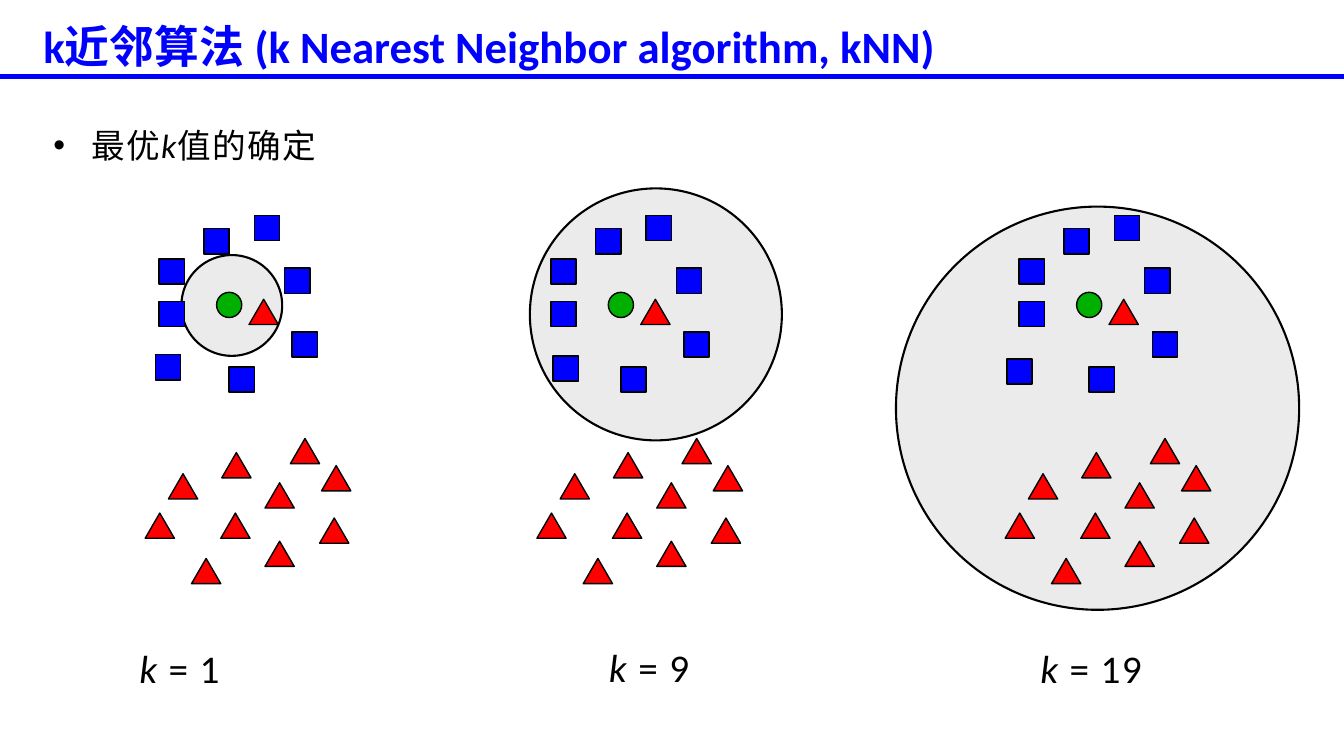
import pptx
import pptx.dml.color
import pptx.enum.shapes
import pptx.enum.text
import pptx.oxml
import pptx.oxml.ns
import pptx.util

Pt = pptx.util.Pt
Shape = pptx.enum.shapes.MSO_SHAPE
Anchor = pptx.enum.text.MSO_ANCHOR
Align = pptx.enum.text.PP_ALIGN
AutoSize = pptx.enum.text.MSO_AUTO_SIZE

SQUARES = [(10, 185), (78, 154), (10, 215.3), (60, 262), (42, 163.4),
           (105, 237), (99.7, 191.5)]
TRIANGLES = [(54.7, 323.3), (16.6, 338.4), (54, 366.5), (85.6, 344.9),
             (103.7, 313.2), (0, 366.5), (85.6, 386.6), (33.1, 398.9),
             (126, 332.6), (124.6, 370), (74.2, 213.8)]
QUERY_POINT = (51, 208.8)

PANELS = [
    {"k": 1, "left": 103.7, "circle": (129.6, 182.2, 72),
     "low_square": (7.2, 253.4), "label": (85, 456.5)},
    {"k": 9, "left": 383.5, "circle": (378.5, 134.6, 180),
     "low_square": (11.6, 254.2), "label": (420.5, 455.8)},
    {"k": 19, "left": 718, "circle": (640, 147.6, 288),
     "low_square": (1.3, 256.3), "label": (728.6, 456.5)},
]


def colour(code):
    return pptx.dml.color.RGBColor.from_string(code)


class SlideBuilder:
    font_name = "Calibri"
    black, blue, red, green, grey = "000000", "0000FF", "FF0000", "00B000", "D9D9D9"

    def __init__(self, page):
        self.page = page

    def fill_text(self, box, spans, size, ink=black, bold=False, spacing=0, inset=7.2):
        frame = box.text_frame
        settings = {"word_wrap": True, "auto_size": AutoSize.SHAPE_TO_FIT_TEXT,
                    "vertical_anchor": Anchor.TOP, "margin_left": Pt(inset),
                    "margin_right": Pt(7.2), "margin_top": Pt(3.6),
                    "margin_bottom": Pt(3.6)}
        for name, value in settings.items():
            setattr(frame, name, value)
        para = frame.paragraphs[0]
        para.alignment = Align.LEFT
        para.line_spacing = 1.0
        para.space_before = Pt(0)
        for text, italic in spans:
            span = para.add_run()
            span.text = text
            style = {"name": self.font_name, "size": Pt(size), "bold": bold,
                     "italic": italic}
            for name, value in style.items():
                setattr(span.font, name, value)
            span.font.color.rgb = colour(ink)
            if spacing:
                span.font._element.set("spc", str(spacing * 100))
        return para

    def title(self, text, left, top, width, height):
        box = self.page.shapes.title
        place = {"left": left, "top": top, "width": width, "height": height}
        for name, value in place.items():
            setattr(box, name, Pt(value))
        self.fill_text(box, [(text, False)], 32, ink=self.blue, bold=True)

    def text(self, spans, left, top, width, height, size, inset=7.2):
        box = self.page.shapes.add_textbox(Pt(left), Pt(top), Pt(width), Pt(height))
        return self.fill_text(box, spans, size, spacing=1, inset=inset)

    def bullet(self, para, indent):
        properties = para._p.get_or_add_pPr()
        properties.set("marL", str(Pt(indent)))
        properties.set("indent", str(-Pt(indent)))
        for tag, name, value in (("buFont", "typeface", "Arial"), ("buChar", "char", "•")):
            item = pptx.oxml.parse_xml(
                f'<a:{tag} {pptx.oxml.ns.nsdecls("a")} {name}="{value}"/>')
            properties.append(item)

    def rule(self, top, width, weight):
        line = self.page.shapes.add_connector(
            pptx.enum.shapes.MSO_CONNECTOR.STRAIGHT, 0, Pt(top), Pt(width), Pt(top))
        line.line.color.rgb = colour(self.blue)
        line.line.width = Pt(weight)
        line._element.spPr.append(pptx.oxml.parse_xml(
            f'<a:effectLst {pptx.oxml.ns.nsdecls("a")}/>'))

    def marker(self, group, kind, left, top, width, height, fill, weight=1, opacity=100):
        shape = group.shapes.add_shape(kind, Pt(left), Pt(top), Pt(width), Pt(height))
        shape.shadow.inherit = False
        shape.fill.solid()
        shape.fill.fore_color.rgb = colour(fill)
        shape.line.color.rgb = colour(self.black)
        shape.line.width = Pt(weight)
        if opacity < 100:
            tint = shape._element.spPr.find(".//" + pptx.oxml.ns.qn("a:srgbClr"))
            tint.append(pptx.oxml.parse_xml(
                f'<a:alpha {pptx.oxml.ns.nsdecls("a")} val="{opacity * 1000}"/>'))

    def panel(self, k, left, circle, low_square, label):
        group = self.page.shapes.add_group_shape()
        circle_left, circle_top, diameter = circle
        self.marker(group, Shape.OVAL, circle_left, circle_top, diameter, diameter,
                    self.grey, weight=1.5, opacity=50)
        families = [(Shape.RECTANGLE, SQUARES + [low_square], 18, self.blue),
                    (Shape.ISOSCELES_TRIANGLE, TRIANGLES, 20.9, self.red),
                    (Shape.OVAL, [QUERY_POINT], 18, self.green)]
        for kind, points, width, fill in families:
            for x, y in points:
                self.marker(group, kind, left + x, y, width, 18, fill)
        self.text([("k", True), (f" = {k}", False)], *label, 175, 41, 28, inset=14.5)


def main():
    deck = pptx.Presentation()
    deck.slide_width, deck.slide_height = Pt(960), Pt(540)
    page = deck.slides.add_slide(deck.slide_layouts.get_by_name("Title Only"))
    builder = SlideBuilder(page)
    builder.title("k近邻算法 (k Nearest Neighbor algorithm, kNN)", 23.8, 9.4, 741.6, 46)
    builder.rule(54.7, 960, 4)
    topic = builder.text([("最优", False), ("k", True), ("值的确定", False)],
                         31, 85.7, 609, 36, 24)
    builder.bullet(topic, 27)
    for panel in PANELS:
        builder.panel(**panel)
    deck.save("out.pptx")


if __name__ == "__main__":
    main()
